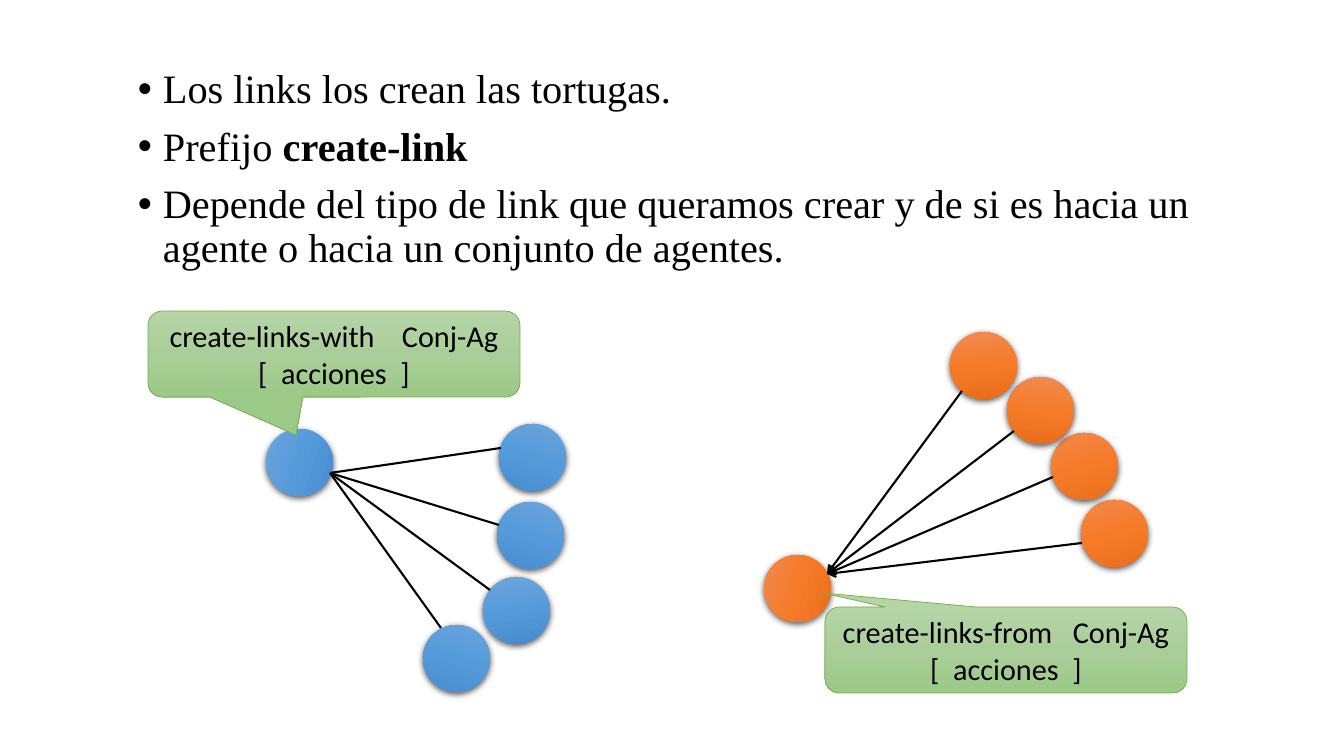
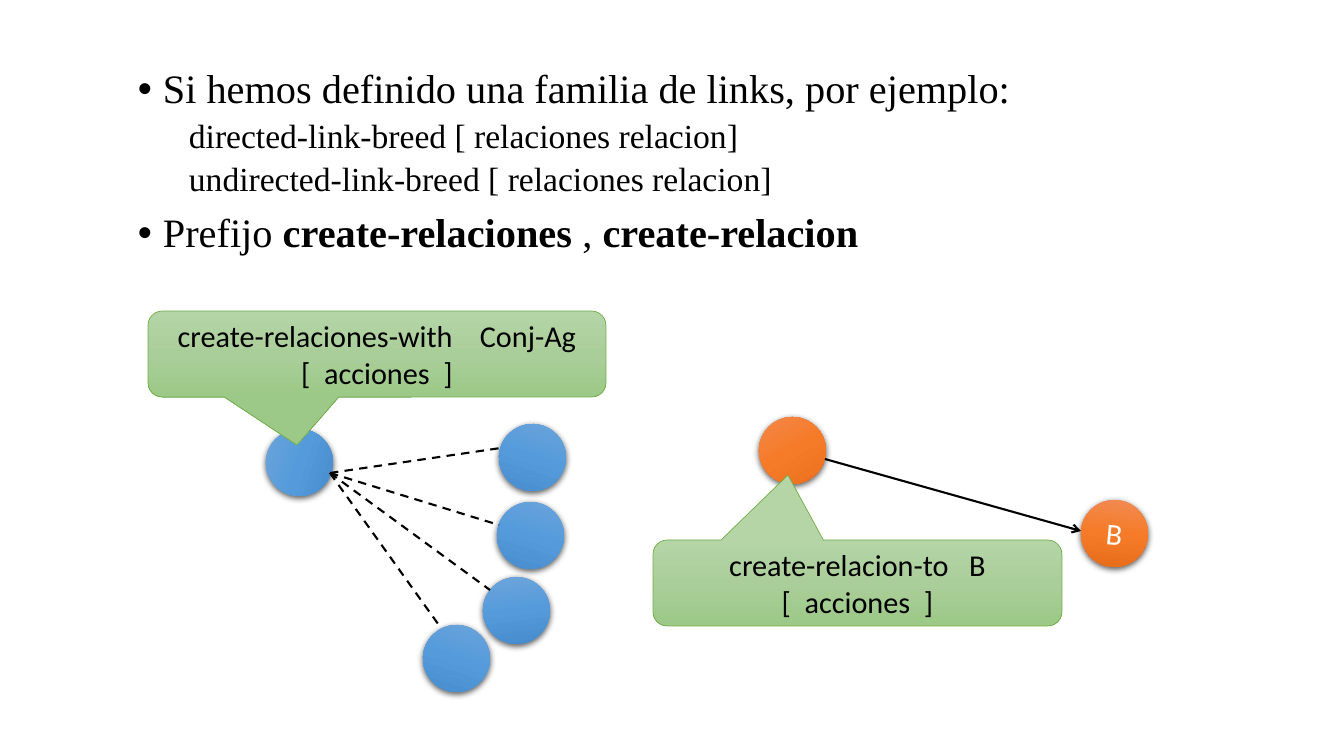
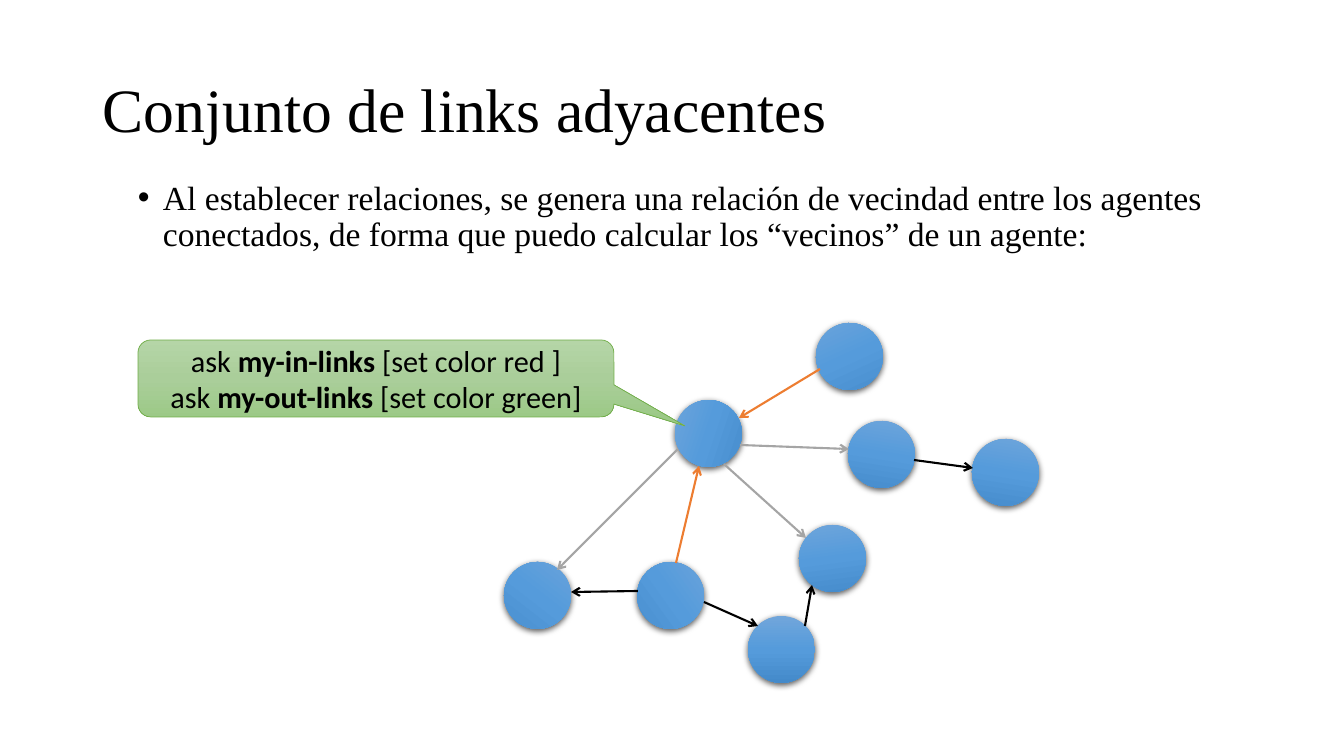
from copy import deepcopy

from lxml import etree
from pptx import Presentation
from pptx.dml import color
from pptx.enum import dml, shapes, text
from pptx.oxml import ns
from pptx.util import Pt

SCALE = 914400 / 100.8
DISK = 67
BLACK, WHITE, GREY, RED = "000000", "FFFFFF", "A5A5A5", "ED7D31"
BLUE = ("71A6DB", "559BDB", "448ACA")
ORANGE = ("F18C57", "F67B28", "E56C19")
GREEN = ("B5D5A7", "AACE9A", "9CC987")
EDGE = "70AD47"
SERIF, SANS = "Times New Roman", "Calibri"

HUB = (330, 473)
LEAVES = [(499, 525), (501, 448), (490, 590), (441, 628)]
FAN = [(266, 429, 288.4), (497, 502, 17.3), (499, 424, 17.3),
       (483, 577, 352.6), (423, 625, 17.3)]


def px(*vals):
    return [round(val * SCALE) for val in vals]


def hue(code):
    return color.RGBColor.from_string(code)


def assign(item, **vals):
    for name, val in vals.items():
        setattr(item, name, val)


def sub(node, tag, **attrs):
    return etree.SubElement(node, ns.qn(tag), {k: str(v) for k, v in attrs.items()})


def write(para, words, size, face, ink):
    for num, part in enumerate(words.split("*")):
        if part:
            run = para.add_run()
            run.text = part
            assign(run.font, size=Pt(size), name=face, bold=num % 2 == 1)
            run.font.color.rgb = hue(ink)


def shade(form, tones):
    form.fill.gradient()
    stops = form._element.spPr.find(".//" + ns.qn("a:gsLst"))
    stops.append(deepcopy(stops[0]))
    for num, (stop, tone) in enumerate(zip(form.fill.gradient_stops, tones)):
        stop.color.rgb = hue(tone)
        stop.position = num / 2
    form.fill.gradient_angle = 270


def label(form, lines, ink):
    frame = form.text_frame
    assign(frame, word_wrap=True, vertical_anchor=text.MSO_ANCHOR.MIDDLE)
    for num, line in enumerate(lines):
        para = frame.add_paragraph() if num else frame.paragraphs[0]
        para.alignment = text.PP_ALIGN.CENTER
        write(para, line, 21.6, SANS, ink)


def disk(slide, tones, left, top, turn, name=None):
    form = slide.shapes.add_shape(shapes.MSO_SHAPE.OVAL, *px(left, top, DISK, DISK))
    form.rotation = turn
    shade(form, tones)
    form.line.fill.background()
    form.shadow.inherit = False
    glow = sub(form._element.spPr.find(ns.qn("a:effectLst")), "a:outerShdw",
               blurRad=Pt(4.5), dist=Pt(1.5), dir=5400000, algn="ctr", rotWithShape=0)
    sub(sub(glow, "a:srgbClr", val=BLACK), "a:alpha", val=63000)
    if name:
        label(form, [name], WHITE)


def disks(slide, tones, spots):
    for spot in spots:
        disk(slide, tones, *spot)


def callout(slide, box, tip, lines):
    left, top, wide, high = box
    form = slide.shapes.add_shape(shapes.MSO_SHAPE.ROUNDED_RECTANGULAR_CALLOUT, *px(*box))
    form.adjustments[0] = (tip[0] - left) / wide - 0.5
    form.adjustments[1] = (tip[1] - top) / high - 0.5
    shade(form, GREEN)
    form.line.color.rgb = hue(EDGE)
    form.line.width = Pt(0.5)
    form.shadow.inherit = False
    label(form, lines, BLACK)


def link(slide, start, end, ink=BLACK, arrow=True, dash=None):
    form = slide.shapes.add_connector(shapes.MSO_CONNECTOR.STRAIGHT, *px(*start, *end))
    form.line.color.rgb = hue(ink)
    assign(form.line, width=Pt(1.5), dash_style=dash)
    if arrow:
        sub(form.line._get_or_add_ln(), "a:tailEnd", type="arrow")
    sub(form._element.spPr, "a:effectLst")


def fan(slide, dash=None):
    for leaf in LEAVES:
        link(slide, HUB, leaf, arrow=False, dash=dash)


def body(slide, box, items, size=28.8):
    frame = slide.shapes.add_textbox(*px(*box)).text_frame
    frame.word_wrap = True
    for num, (level, words) in enumerate(items):
        para = frame.add_paragraph() if num else frame.paragraphs[0]
        props = para._p.get_or_add_pPr()
        margin, dent = px(76 if level else 25, -25)
        props.set("marL", str(margin))
        props.set("indent", str(dent))
        if level:
            sub(props, "a:buNone")
        else:
            sub(props, "a:buFont", typeface="Arial")
            sub(props, "a:buChar", char="•")
        assign(para, line_spacing=0.9)
        if num:
            para.space_before = Pt(5 if level else 10)
        write(para, words, 24 if level else size, SERIF, BLACK)


def title(slide, words):
    frame = slide.shapes.add_textbox(*px(93, 40, 1159, 146)).text_frame
    assign(frame, word_wrap=True, vertical_anchor=text.MSO_ANCHOR.MIDDLE)
    para = frame.paragraphs[0]
    para.line_spacing = 0.9
    write(para, words, 44, SERIF, BLACK)


def create(slide):
    body(slide, (128, 64, 1089, 612), [
        (0, "Los links los crean las tortugas."),
        (0, "Prefijo *create-link*"),
        (0, "Depende del tipo de link que queramos crear y de si es hacia un "
            "agente o hacia un conjunto de agentes.")])
    disks(slide, BLUE, FAN)
    disks(slide, ORANGE, [(764, 555, 287.5), (1081, 500, 343.3), (1051, 433, 343.3),
                          (1007, 377, 6.1), (950, 332, 353.7)])
    callout(slide, (148, 311, 372, 86), (296, 435),
            ["create-links-with    Conj-Ag", "[  acciones  ]"])
    callout(slide, (825, 607, 362, 86), (823, 593),
            ["create-links-from   Conj-Ag", "[  acciones  ]"])
    fan(slide)
    for start in [(962, 391), (1014, 431), (1053, 477), (1082, 543)]:
        link(slide, start, (827, 574))


def breed(slide):
    body(slide, (128, 64, 1089, 612), [
        (0, "Si hemos definido una familia de links, por ejemplo:"),
        (1, "directed-link-breed [ relaciones relacion]"),
        (1, "undirected-link-breed [ relaciones relacion]"),
        (0, "Prefijo *create-relaciones *, *create-relacion*")])
    disks(slide, BLUE, FAN)
    disks(slide, ORANGE, [(759, 417, 329.6), (1081, 500, 5.1, "B")])
    link(slide, (825, 459), (1081, 531))
    callout(slide, (148, 311, 458, 86), (297, 445),
            ["create-relaciones-with    Conj-Ag", "[  acciones  ]"])
    callout(slide, (653, 540, 409, 86), (788, 475),
            ["create-relacion-to   B", "[  acciones  ]"])
    fan(slide, dml.MSO_LINE.DASH)


def nearby(slide):
    title(slide, "Conjunto de links adyacentes")
    body(slide, (128, 176, 1089, 116), [
        (0, "Al establecer relaciones, se genera una relación de vecindad entre los "
            "agentes conectados, de forma que puedo calcular los “vecinos” de un agente:")], 24)
    disks(slide, BLUE, [(675, 400, 288.4), (848, 421, 9), (816, 323, 335.5),
                        (799, 525, 352.6), (637, 562, 54.4), (504, 562, 37.8),
                        (748, 616, 0), (972, 439, 9)])
    callout(slide, (138, 340, 476, 77), (685, 426),
            ["ask *my-in-links* [set color red ]", "ask *my-out-links* [set color green]"])
    links = {
        RED: [((820, 369), (739, 418)), ((676, 563), (699, 466))],
        GREY: [((740, 445), (849, 449)), ((724, 464), (806, 538)),
               ((678, 449), (557, 570))],
        BLACK: [((914, 460), (973, 468)), ((805, 626), (812, 585)),
                ((704, 602), (758, 626)), ((638, 591), (571, 592))]}
    for ink, pairs in links.items():
        for start, end in pairs:
            link(slide, start, end, ink)


def main():
    deck = Presentation()
    deck.slide_width, deck.slide_height = px(1344, 756)
    for draw in (create, breed, nearby):
        draw(deck.slides.add_slide(deck.slide_layouts[6]))
    deck.save("out.pptx")


if __name__ == "__main__":
    main()
